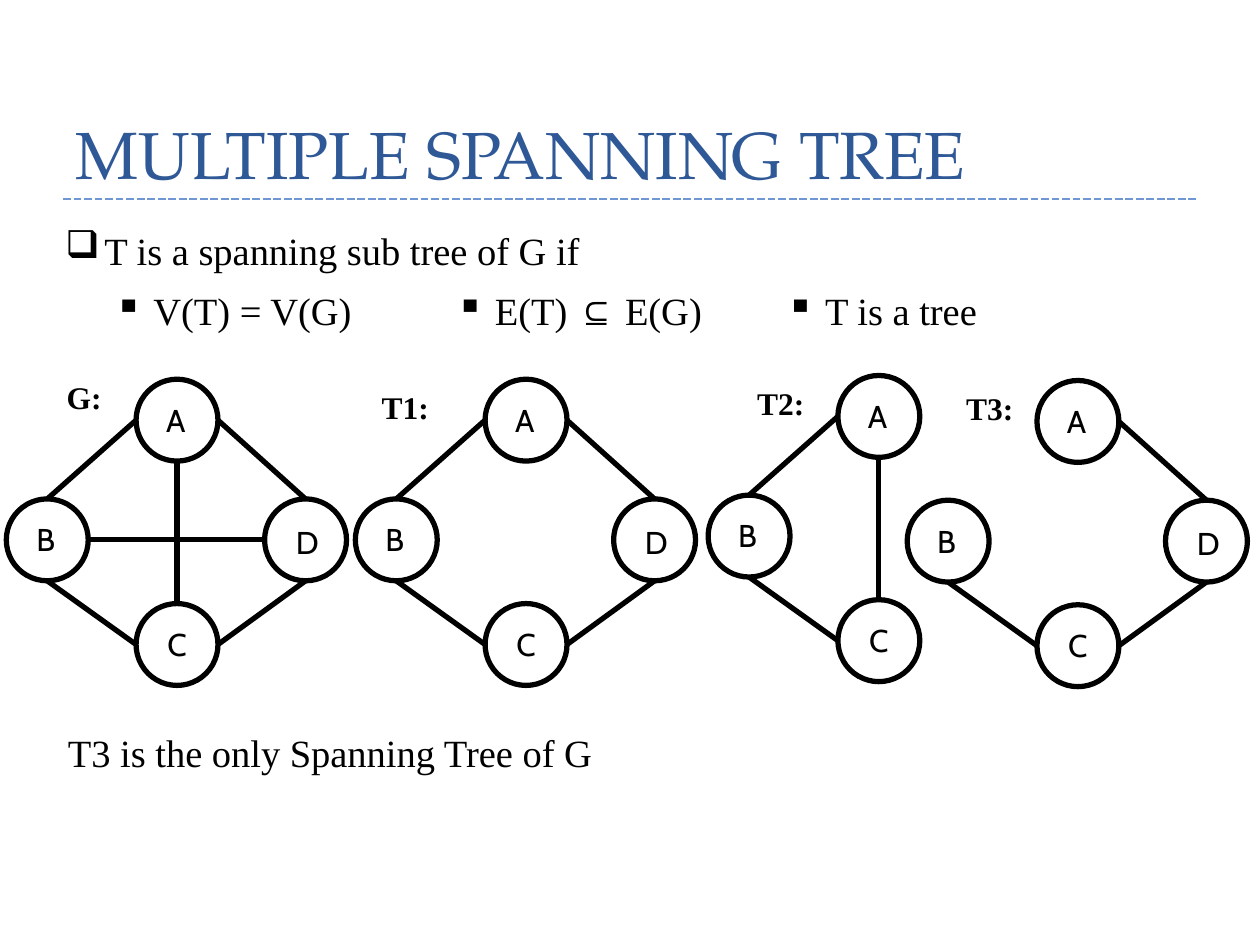
from lxml.etree import SubElement
from pptx import Presentation
from pptx.dml.color import RGBColor
from pptx.enum.dml import MSO_LINE
from pptx.enum.shapes import MSO_CONNECTOR, MSO_SHAPE
from pptx.enum.text import MSO_ANCHOR, MSO_AUTO_SIZE
from pptx.oxml.ns import qn
from pptx.util import Inches, Pt

BLACK = RGBColor(0x00, 0x00, 0x00)
WHITE = RGBColor(0xFF, 0xFF, 0xFF)
TITLE_BLUE = RGBColor(0x2F, 0x58, 0x97)
RULE_BLUE = RGBColor(0x70, 0x97, 0xD3)
SERIF = "Times New Roman"
NODE_FONT = "Cabin"
TITLE_FONT = "TeX Gyre Pagella"

NODE_SIZE = 0.65
NODES = {"A": (1.03, 0), "B": (0, 0.95), "C": (1.03, 1.78), "D": (2.05, 0.95)}
LABEL_SHIFTS = {"A": (0.14, 0.12), "B": (0.14, 0.12), "C": (0.15, 0.12), "D": (0.15, 0.14)}
SIDES = {"top": (0.5, 0), "left": (0, 0.5), "bottom": (0.5, 1), "right": (1, 0.5)}
EDGES = {
    "AB": ("left", "top"),
    "BC": ("bottom", "left"),
    "CD": ("right", "bottom"),
    "DA": ("top", "right"),
    "BD": ("right", "left"),
    "AC": ("bottom", "top"),
}
GRAPHS = [
    ("G:", (0.43, 2.95), (0.05, 3.01), "ABCD", ["AB", "BC", "CD", "DA", "BD", "AC"]),
    ("T1:", (2.93, 3.03), (2.82, 3.01), "ABCD", ["AB", "BC", "CD", "DA"]),
    ("T2:", (5.91, 3.0), (5.62, 2.98), "ABC", ["AB", "BC", "AC"]),
    ("T3:", (7.57, 3.04), (7.2, 3.02), "ABCD", ["BC", "CD", "DA"]),
]
CONDITIONS = [
    (0.42, 1.75, 4.33, "❑", "T is a spanning sub tree of G if"),
    (0.81, 2.23, 2.19, "▪", "V(T) = V(G)"),
    (3.52, 2.23, 2.18, "▪", "E(T) ⊆ E(G)"),
    (6.14, 2.23, 1.81, "▪", "T is a tree"),
]


def shifted(origin, offset, scale=1):
    return tuple(start + step * scale for start, step in zip(origin, offset))


def add_text(page, place, size, text, points, font=SERIF, color=BLACK, bold=False, bullet=None):
    box = page.shapes.add_textbox(*map(Inches, (*place, *size)))
    box.text_frame.word_wrap = False
    box.text_frame.auto_size = MSO_AUTO_SIZE.SHAPE_TO_FIT_TEXT
    para = box.text_frame.paragraphs[0]
    if bullet:
        properties = para._p.get_or_add_pPr()
        properties.set("marL", str(Inches(0.31)))
        properties.set("indent", str(Inches(-0.31)))
        SubElement(properties, qn("a:buChar")).set("char", bullet)
    span = para.add_run()
    span.text = text
    span.font.name = font
    span.font.size = Pt(points)
    span.font.bold = bold
    span.font.color.rgb = color
    return box


def add_line(page, start, end, color=BLACK, width=3):
    line = page.shapes.add_connector(MSO_CONNECTOR.STRAIGHT, *map(Inches, (*start, *end)))
    line.line.color.rgb = color
    line.line.width = Pt(width)
    SubElement(line._element.spPr, qn("a:effectLst"))
    return line


def add_title(page, text):
    rule = add_line(page, (0.5, 1.58), (9.5, 1.58), RULE_BLUE, 1.5)
    rule.line.dash_style = MSO_LINE.SQUARE_DOT
    box = add_text(page, (0.5, -0.17), (9, 1.75), text, 38, TITLE_FONT, TITLE_BLUE)
    box.text_frame.auto_size = MSO_AUTO_SIZE.NONE
    box.text_frame.word_wrap = True
    box.text_frame.vertical_anchor = MSO_ANCHOR.BOTTOM
    box.text_frame.paragraphs[0].line_spacing = Pt(58)


def add_node(page, place):
    node = page.shapes.add_shape(
        MSO_SHAPE.OVAL, *map(Inches, (*place, NODE_SIZE, NODE_SIZE)))
    node.shadow.inherit = False
    node.fill.solid()
    node.fill.fore_color.rgb = WHITE
    node.line.color.rgb = BLACK
    node.line.width = Pt(3)


def add_graph(page, name, name_place, origin, names, edges):
    places = {node: shifted(origin, NODES[node]) for node in names}
    for place in places.values():
        add_node(page, place)
    for edge in edges:
        ends = [shifted(places[node], SIDES[side], NODE_SIZE)
                for node, side in zip(edge, EDGES[edge])]
        add_line(page, *ends)
    for node, place in places.items():
        add_text(page, shifted(place, LABEL_SHIFTS[node]), (0.36, 0.4), node, 18, NODE_FONT)
    add_text(page, name_place, (0.48 if len(name) == 2 else 0.58, 0.4), name, 18, bold=True)


def main():
    deck = Presentation()
    deck.slide_width = Inches(10)
    deck.slide_height = Inches(7.5)
    page = deck.slides.add_slide(deck.slide_layouts[6])
    add_title(page, "MULTIPLE SPANNING TREE")
    for left, top, width, bullet, text in CONDITIONS:
        add_text(page, (left, top), (width, 0.47), text, 22, bullet=bullet)
    for graph in GRAPHS:
        add_graph(page, *graph)
    add_text(page, (0.44, 5.74), (4.49, 0.47), "T3 is the only Spanning Tree of G", 22)
    deck.save("out.pptx")


if __name__ == "__main__":
    main()
